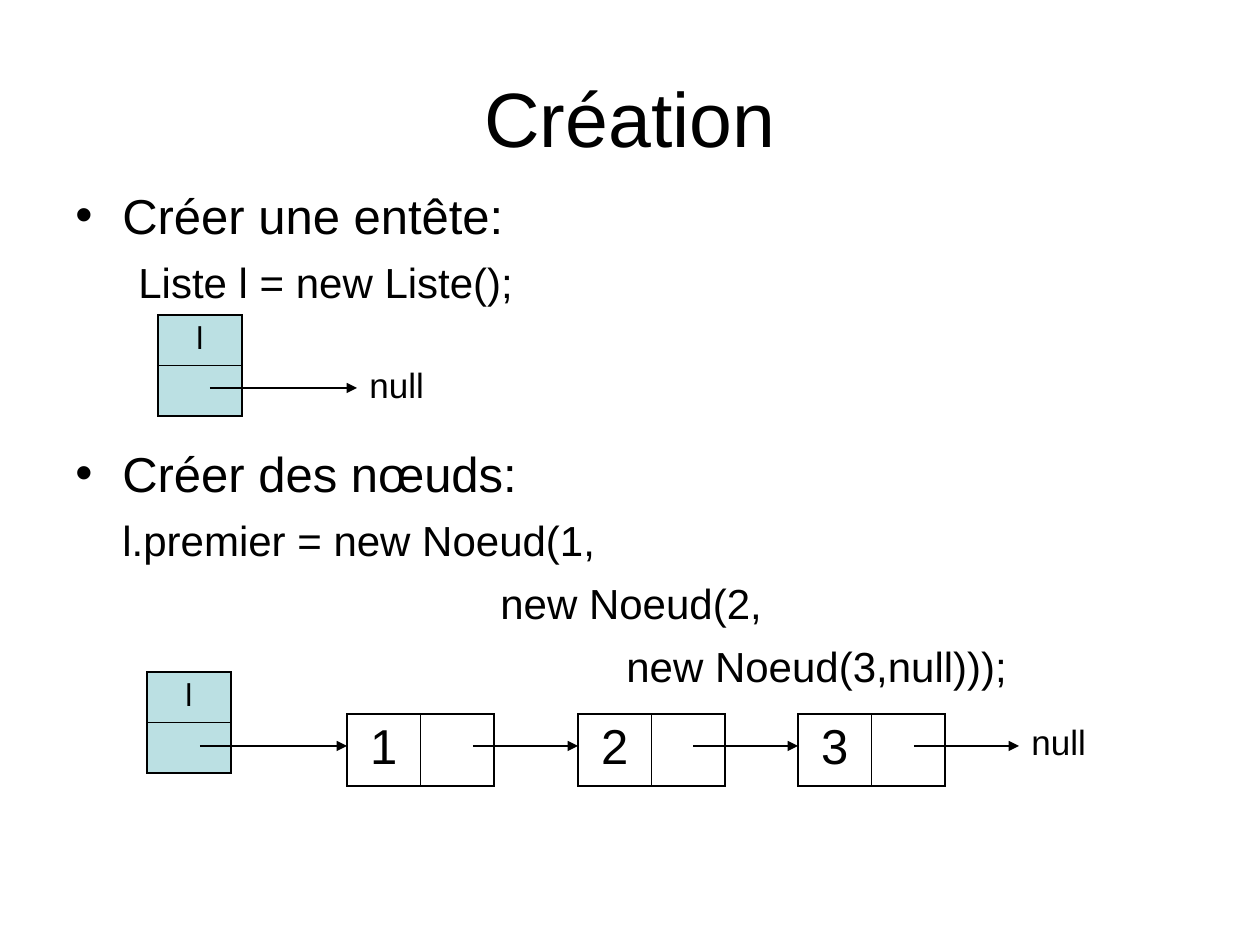
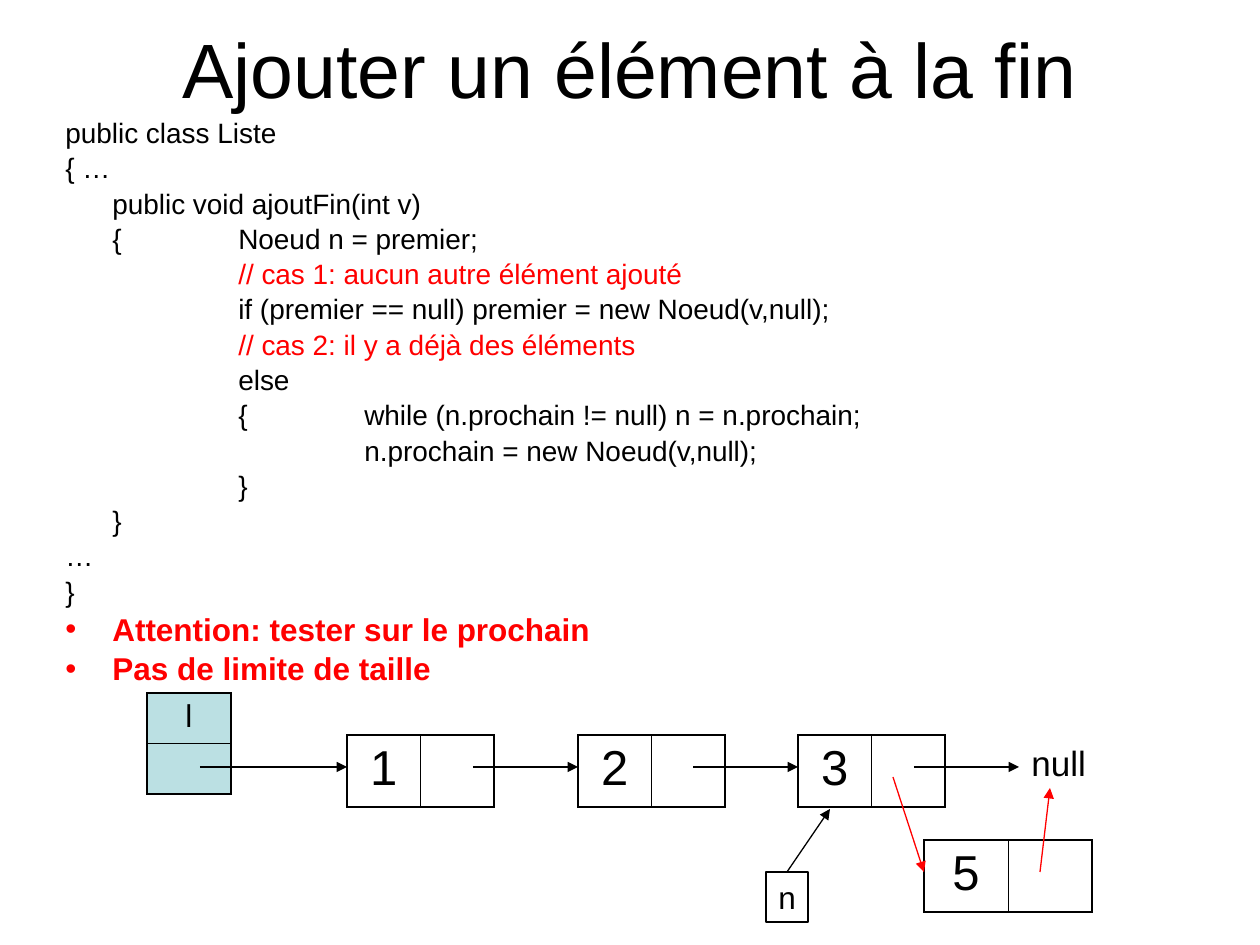
from dataclasses import dataclass
from typing import Optional

from lxml.etree import SubElement
from pptx import Presentation
from pptx.dml.color import RGBColor as Rgb
from pptx.enum.shapes import MSO_CONNECTOR as Conn, MSO_SHAPE as Form
from pptx.enum.text import MSO_ANCHOR as Anchor, PP_ALIGN as Align
from pptx.oxml.ns import qn
from pptx.shapes.autoshape import Shape
from pptx.shapes.connector import Connector
from pptx.slide import Slide
from pptx.util import Emu, Pt

SCALE = 914400 / 126
FONT = "Arial"
COLORS = {"ink": "000000", "head": "BBE0E3", "alert": "FF0000"}
TAB, STEP = 47, 126
THICK, THIN = 1.08, 0.45


@dataclass(frozen=True)
class Box:
    """Place and size in px."""
    x: int
    y: int
    w: int
    h: int


@dataclass(frozen=True)
class Line:
    """One paragraph; left and hang are px, gap is points."""
    text: str
    size: int
    left: int = 0
    hang: int = 0
    gap: Optional[float] = None
    color: str = "ink"
    bold: bool = False
    bullet: bool = False
    align: Align = Align.LEFT


@dataclass(frozen=True)
class Grid:
    """A small table with text in its first cell."""
    box: Box
    rows: int
    cols: int
    text: str
    size: int
    fill: Optional[str] = None


@dataclass(frozen=True)
class Arrow:
    """An arrow between two points in px."""
    x1: int
    y1: int
    x2: int
    y2: int
    color: str = "ink"


def px(n: float) -> Emu:
    """Turn px into EMU."""
    return Emu(round(n * SCALE))


def place(box: Box) -> tuple[Emu, Emu, Emu, Emu]:
    """Give the four lengths of a box."""
    return px(box.x), px(box.y), px(box.w), px(box.h)


def rgb(name: str) -> Rgb:
    """Look up a colour."""
    return Rgb.from_string(COLORS[name])


def write(frame, lines: list[Line]) -> None:
    """Fill a text frame with paragraphs."""
    for i, line in enumerate(lines):
        para = frame.add_paragraph() if i else frame.paragraphs[0]
        para.text = line.text
        para.alignment = line.align
        font = para.font
        font.name, font.size, font.bold = FONT, Pt(line.size), line.bold
        font.color.rgb = rgb(line.color)
        if i:
            para.space_before = Pt(0.3 * line.size if line.gap is None else line.gap)
        props = para._p.get_or_add_pPr()
        props.set("marL", str(px(line.left)))
        props.set("indent", str(px(-line.hang)))
        if line.bullet:
            SubElement(props, qn("a:buFont"), typeface=FONT)
            SubElement(props, qn("a:buChar"), char="•")


def add_text(slide: Slide, box: Box, lines: list[Line], wrap: bool = True) -> Shape:
    """Add a text box."""
    shape = slide.shapes.add_textbox(*place(box))
    shape.text_frame.word_wrap = wrap
    write(shape.text_frame, lines)
    return shape


def add_title(slide: Slide, box: Box, text: str) -> None:
    """Add the centred title."""
    shape = add_text(slide, box, [Line(text, 44, align=Align.CENTER)])
    shape.text_frame.vertical_anchor = Anchor.MIDDLE


def add_null(slide: Slide, x: int, y: int) -> None:
    """Add the null label."""
    add_text(slide, Box(x, y, 84, 55), [Line("null", 20)], wrap=False)


def add_grid(slide: Slide, grid: Grid) -> None:
    """Add a table with thick outer and thin inner edges."""
    table = slide.shapes.add_table(grid.rows, grid.cols, *place(grid.box)).table
    table.first_row = table.horz_banding = False
    for r in range(grid.rows):
        for c in range(grid.cols):
            cell = table.cell(r, c)
            if grid.fill:
                cell.fill.solid()
                cell.fill.fore_color.rgb = rgb(grid.fill)
            else:
                cell.fill.background()
            outer = {"L": c == 0, "R": c == grid.cols - 1,
                     "T": r == 0, "B": r == grid.rows - 1}
            props = cell._tc.get_or_add_tcPr()
            for i, (side, edge) in enumerate(outer.items()):
                width = Pt(THICK if edge else THIN)
                rule = SubElement(props, qn(f"a:ln{side}"), w=str(width))
                paint = SubElement(rule, qn("a:solidFill"))
                SubElement(paint, qn("a:srgbClr"), val=COLORS["ink"])
                props.insert(i, rule)
    write(table.cell(0, 0).text_frame, [Line(grid.text, grid.size, align=Align.CENTER)])


def add_head(slide: Slide, x: int, y: int) -> None:
    """Add the list header."""
    add_grid(slide, Grid(Box(x, y, 84, 101), 2, 1, "l", 18, "head"))


def add_node(slide: Slide, x: int, y: int, text: str, w: int = 147) -> None:
    """Add a node with a value and a link."""
    add_grid(slide, Grid(Box(x, y, w, 72), 1, 2, text, 28))


def add_arrow(slide: Slide, arrow: Arrow) -> Connector:
    """Add a thin arrow."""
    ends = map(px, (arrow.x1, arrow.y1, arrow.x2, arrow.y2))
    link = slide.shapes.add_connector(Conn.STRAIGHT, *ends)
    link.line.width = Pt(0.75)
    link.line.color.rgb = rgb(arrow.color)
    SubElement(link.line._get_or_add_ln(), qn("a:tailEnd"), type="triangle")
    SubElement(link._element.spPr, qn("a:effectLst"))
    return link


def add_chain(slide: Slide, top: int) -> None:
    """Draw the header, three nodes and null."""
    add_head(slide, 147, top)
    stops = (347, 578, 798, 1019)
    for i, x in enumerate(stops[:-1], 1):
        add_node(slide, x, top + 42, str(i))
    add_null(slide, stops[-1], top + 42)
    for start, end in zip((200, 473, 693, 914), stops):
        add_arrow(slide, Arrow(start, top + 74, end, top + 74))


def build_make(slide: Slide) -> None:
    """Build the creation slide."""
    add_title(slide, Box(63, 38, 1134, 157), "Création")
    add_text(slide, Box(63, 179, 1113, 665), [
        Line("Créer une entête:", 28, TAB, TAB, bullet=True),
        Line("Liste l = new Liste();", 24, 63),
        Line("Créer des nœuds:", 28, TAB, TAB, gap=78, bullet=True),
        Line("l.premier = new Noeud(1,", 24, TAB),
        Line("new Noeud(2,", 24, TAB + 3 * STEP),
        Line("new Noeud(3,null)));", 24, TAB + 4 * STEP),
    ])
    add_head(slide, 158, 315)
    add_null(slide, 357, 357)
    add_arrow(slide, Arrow(210, 388, 357, 388))
    add_chain(slide, 672)


def code(text: str, depth: int = 0, hang: int = 0, color: str = "ink") -> Line:
    """Make a code line at a tab depth."""
    left = TAB + (depth - 1) * STEP if depth else 0
    return Line(text, 16, left, hang, color=color)


def build_end(slide: Slide) -> None:
    """Build the append slide."""
    add_title(slide, Box(63, 0, 1134, 136), "Ajouter un élément à la fin")
    lines = [
        code("public class Liste"),
        code("{ …"),
        code("public void ajoutFin(int v)", 1),
        code("{\tNoeud n = premier;", 2, STEP),
        code("// cas 1: aucun autre élément ajouté", 2, color="alert"),
        code("if (premier == null) premier = new Noeud(v,null);", 2),
        code("// cas 2: il y a déjà des éléments", 2, color="alert"),
        code("else", 2),
        code("{\twhile (n.prochain != null) n = n.prochain;", 3, STEP),
        code("n.prochain = new Noeud(v,null);", 3),
        code("}", 2),
        code("}", 1),
        code("…"),
        code("}"),
    ]
    lines += [Line(text, 18, TAB, TAB, color="alert", bold=True, bullet=True)
              for text in ("Attention: tester sur le prochain", "Pas de limite de taille")]
    body = add_text(slide, Box(53, 116, 1124, 557), lines)
    for para in body.text_frame.paragraphs:
        para.line_spacing = 0.8
    add_chain(slide, 693)
    add_node(slide, 924, 840, "5", 168)
    add_arrow(slide, Arrow(893, 777, 924, 872, "alert"))
    add_arrow(slide, Arrow(1040, 872, 1050, 788, "alert"))
    mark = slide.shapes.add_shape(Form.RECTANGLE, *place(Box(766, 872, 42, 50)))
    mark.shadow.inherit = False
    mark.fill.background()
    mark.line.color.rgb = rgb("ink")
    mark.line.width = Pt(0.75)
    mark.text_frame.vertical_anchor = Anchor.TOP
    write(mark.text_frame, [Line("n", 18)])
    add_arrow(slide, Arrow(787, 872, 830, 809)).begin_connect(mark, 0)


def main() -> None:
    """Build and save the deck."""
    deck = Presentation()
    deck.slide_width, deck.slide_height = px(1260), px(945)
    for build in (build_make, build_end):
        build(deck.slides.add_slide(deck.slide_layouts[6]))
    deck.save("out.pptx")


if __name__ == "__main__":
    main()
